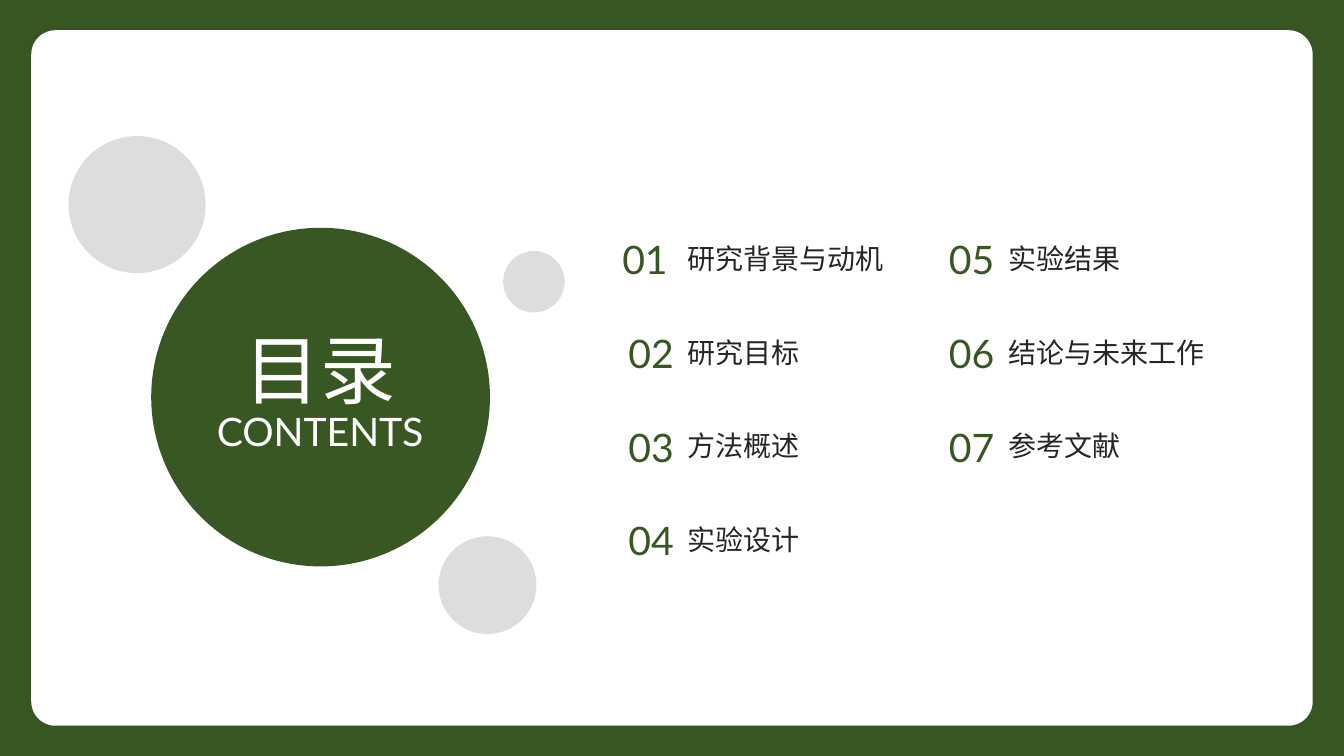
from dataclasses import dataclass

from lxml.etree import SubElement
from pptx import Presentation
from pptx.dml.color import RGBColor
from pptx.enum.shapes import MSO_SHAPE as Shape
from pptx.enum.text import MSO_ANCHOR as Anchor, MSO_AUTO_SIZE as AutoSize, PP_ALIGN as Align
from pptx.oxml.ns import qn
from pptx.util import Inches, Pt


@dataclass(frozen=True)
class Theme:
    green: str = "385723"
    white: str = "FFFFFF"
    grey: str = "595959"
    ink: str = "262626"
    font: str = "Lato"
    title_size: int = 54
    number_size: int = 28
    label_size: int = 20
    line_spacing: float = 1.1


THEME = Theme()
WIDTH, HEIGHT = 13.33, 7.5

TOPIC_COLUMNS = [
    ["研究背景与动机", "研究目标", "方法概述", "实验设计"],
    ["实验结果", "结论与未来工作", "参考文献"],
]


def add_filled(slide, kind, left, top, width, height, color, opacity=None):
    shape = slide.shapes.add_shape(
        kind, Inches(left), Inches(top), Inches(width), Inches(height))
    shape.shadow.inherit = False
    shape.fill.solid()
    shape.fill.fore_color.rgb = RGBColor.from_string(color)
    shape.line.fill.background()
    if opacity is not None:
        rgb = shape.fill._xPr.find(qn("a:solidFill")).find(qn("a:srgbClr"))
        SubElement(rgb, qn("a:alpha"), val=str(opacity * 1000))
    return shape


def add_text(slide, left, top, width, height, text, size, color,
             align=Align.LEFT, anchor=Anchor.MIDDLE, grow=False):
    box = slide.shapes.add_textbox(
        Inches(left), Inches(top), Inches(width), Inches(height))
    frame = box.text_frame
    frame.word_wrap = True
    frame.vertical_anchor = anchor
    frame.auto_size = AutoSize.SHAPE_TO_FIT_TEXT if grow else AutoSize.NONE
    paragraph = frame.paragraphs[0]
    paragraph.alignment = align
    paragraph.line_spacing = THEME.line_spacing
    run = paragraph.add_run()
    run.text = text
    run.font.name = THEME.font
    run.font.size = Pt(size)
    run.font.color.rgb = RGBColor.from_string(color)


def add_soft_glow(shape):
    """Give the shape a faint, centred outer shadow."""
    effects = shape._element.spPr.find(qn("a:effectLst"))
    shadow = SubElement(effects, qn("a:outerShdw"), blurRad=str(Pt(8)),
                        dist="0", dir="0", algn="ctr", rotWithShape="0")
    rgb = SubElement(shadow, qn("a:srgbClr"), val=THEME.ink)
    SubElement(rgb, qn("a:alpha"), val="8000")


def add_frame(slide, left, top, width, height):
    """Green page with a rounded white panel inside it."""
    add_filled(slide, Shape.RECTANGLE, left, top, width, height, THEME.green)
    margin_x, margin_y = 0.31, 0.3
    panel = add_filled(slide, Shape.ROUNDED_RECTANGLE, left + margin_x, top + margin_y,
                       width - 2 * margin_x, height - 2 * margin_y, THEME.white)
    panel.adjustments[0] = 0.035
    add_soft_glow(panel)


def add_title_circles(slide, left, top):
    for x, y, diameter, color, opacity in [
        (0, 0, 1.36, THEME.grey, 20),
        (0.82, 0.91, 3.36, THEME.green, None),
        (4.31, 1.14, 0.61, THEME.grey, 20),
        (3.67, 3.97, 0.97, THEME.grey, 20),
    ]:
        add_filled(slide, Shape.FLOWCHART_CONNECTOR, left + x, top + y,
                   diameter, diameter, color, opacity)
    for text, y, height, size, anchor in [
        ("目录", 1.75, 1.01, THEME.title_size, Anchor.MIDDLE),
        ("CONTENTS", 2.6, 0.57, THEME.number_size, Anchor.TOP),
    ]:
        add_text(slide, left + 0.92, top + y, 3.15, height, text, size,
                 THEME.white, Align.CENTER, anchor)


def add_topics(slide, left, top):
    """Numbered topics, running down each column in turn."""
    column_pitch, row_pitch = 3.18, 0.93
    number_width, number_height = 0.78, 0.53
    label_width, label_height = 2.72, 0.41
    number = 0
    for column, topics in enumerate(TOPIC_COLUMNS):
        x = left + column * column_pitch
        for row, topic in enumerate(topics):
            number += 1
            y = top + row * row_pitch
            outdent = 0.06 if number == 1 else 0
            add_text(slide, x - outdent, y, number_width, number_height, f"{number:02d}",
                     THEME.number_size, THEME.green, Align.RIGHT, grow=True)
            add_text(slide, x + 0.72, y + (number_height - label_height) / 2,
                     label_width, label_height, topic,
                     THEME.label_size, THEME.ink, grow=True)


def main():
    deck = Presentation()
    deck.slide_width, deck.slide_height = Inches(WIDTH), Inches(HEIGHT)
    slide = deck.slides.add_slide(deck.slide_layouts[6])
    add_frame(slide, 0, 0, WIDTH, HEIGHT)
    add_title_circles(slide, 0.68, 1.35)
    add_topics(slide, 6, 2.28)
    deck.save("out.pptx")


if __name__ == "__main__":
    main()
